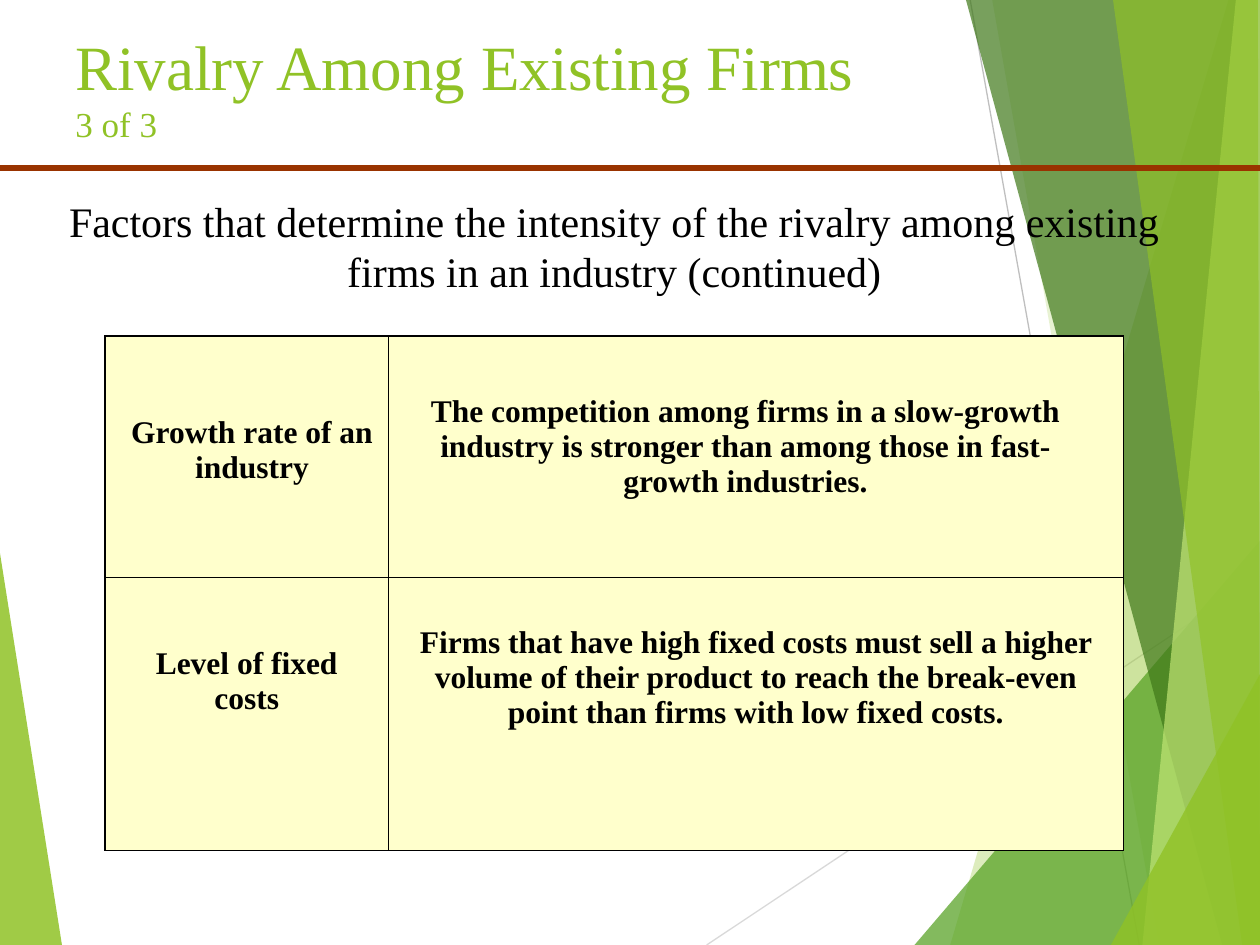
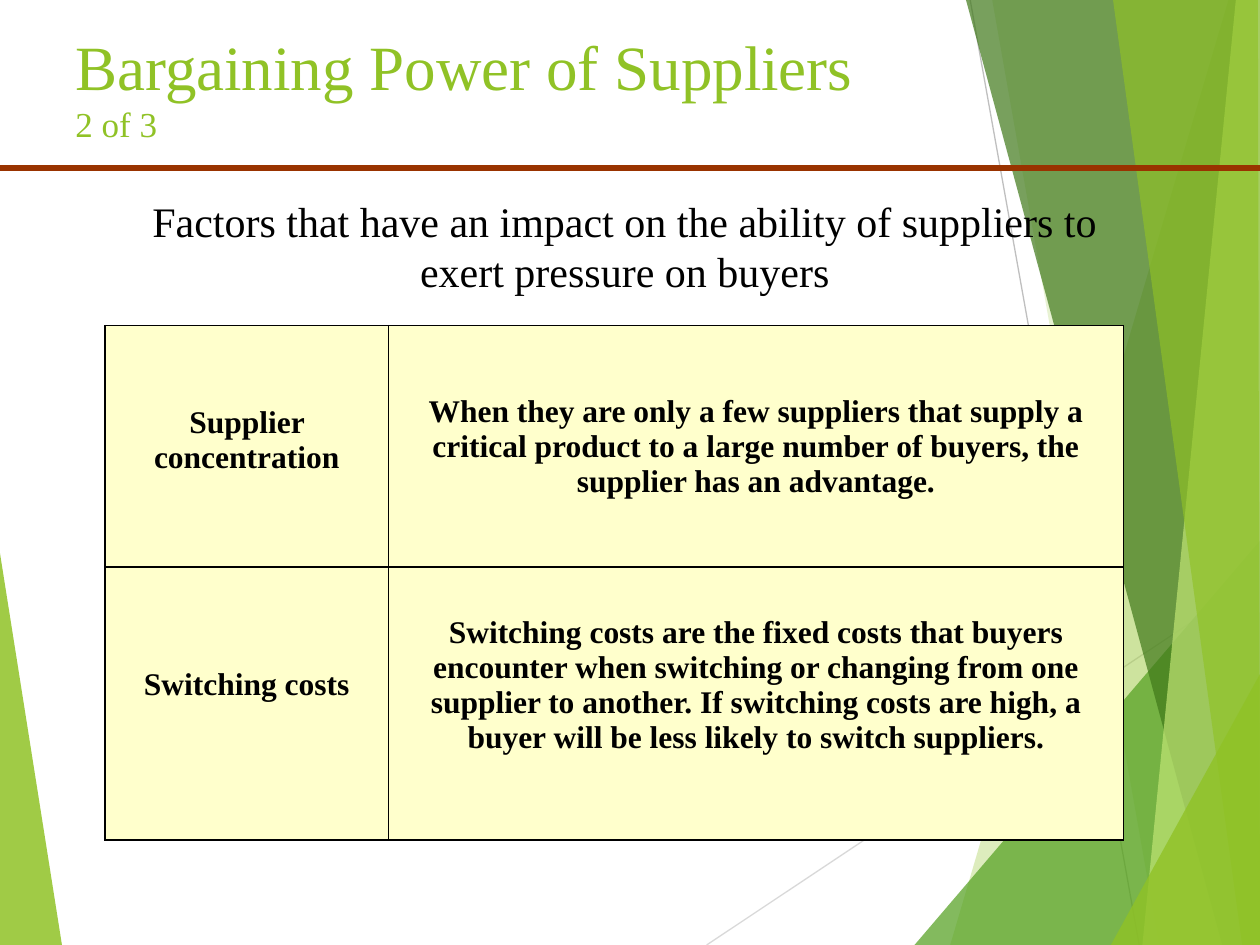
from lxml import etree
from pptx import Presentation
from pptx.dml import color
from pptx.enum import shapes, text
from pptx.oxml import ns
from pptx.util import Emu, Inches, Pt

COLUMNS, ROWS = 120, 90  # grid of twelve cells to the inch
CELL = Inches(1) // 12
INSET = 1.2
FONT = "Times New Roman"
LIME, LEAF, FOREST, PALE = "90C226", "54A021", "3F7819", "C0E474"
BLACK, CREAM, RUST = "000000", "FFFFCC", "993300"
TITLE = {"size": Pt(36), "bold": False}
COUNTER = {"size": Pt(20), "bold": False}
LEAD = {"size": Pt(24), "bold": False}
ENTRY = {"size": Pt(18), "bold": True}

LEFT_WEDGE = ([(0, 52.7), (5.9, ROWS), (0, ROWS)], LIME, 85)
HAIRLINES = [
    ((67.3, ROWS), (COLUMNS, 54.9), "D9D9D9"),
    ((92.4, 0), (108.5, ROWS), "BFBFBF"),
]


def right_band(top, bottom):
    """Outline from a slanted edge to the right side of the slide."""
    return [(top, 0), (bottom, ROWS), (COLUMNS, ROWS), (COLUMNS, 0)]


def right_wedge(left, top):
    return [(left, ROWS), (COLUMNS, top), (COLUMNS, ROWS)]


RIGHT_FACETS = [
    (right_band(117, 90.5), LIME, 30),
    (right_band(94.5, 110.4), LIME, 20),
    (right_wedge(87.1, 51.5), LEAF, 72),
    (right_band(92, 116.4), FOREST, 70),
    (right_band(117.7, 108.8), PALE, 70),
    ([(106, 0), (118.3, ROWS), (COLUMNS, ROWS), (119.8, 0)], LIME, 65),
    (right_wedge(105.8, 64.2), LIME, 80),
]


def grid(cells):
    return Emu(round(cells * CELL))


def rgb(value):
    return color.RGBColor.from_string(value)


def add_facet(slide, points, fill, opacity):
    outline = [(grid(x), grid(y)) for x, y in points]
    builder = slide.shapes.build_freeform(*outline[0])
    builder.add_line_segments(outline[1:])
    shape = builder.convert_to_shape()
    shape.shadow.inherit = False
    shape.fill.solid()
    shape.fill.fore_color.rgb = rgb(fill)
    shape.line.fill.background()
    solid = shape.fill.fore_color._xFill.find(ns.qn("a:srgbClr"))
    etree.SubElement(solid, ns.qn("a:alpha"), val=str(opacity * 1000))


def add_rule(slide, start, end, stroke, width):
    ends = [grid(cells) for cells in (*start, *end)]
    connector = slide.shapes.add_connector(shapes.MSO_CONNECTOR.STRAIGHT, *ends)
    connector.line.color.rgb = rgb(stroke)
    connector.line.width = Pt(width)
    etree.SubElement(connector._element.spPr, ns.qn("a:effectLst"))


def add_run(paragraph, words, style, ink=BLACK):
    run = paragraph.add_run()
    run.text = words
    for name, value in {"name": FONT, **style}.items():
        setattr(run.font, name, value)
    run.font.color.rgb = rgb(ink)


def set_margins(target, left, top, right, bottom):
    margins = {"left": left, "top": top, "right": right, "bottom": bottom}
    for side, cells in margins.items():
        setattr(target, f"margin_{side}", grid(cells))


def add_text_box(slide, box):
    frame = slide.shapes.add_textbox(*map(grid, box)).text_frame
    frame.word_wrap = True
    set_margins(frame, INSET, INSET / 2, INSET, INSET / 2)
    return frame.paragraphs[0]


def add_backdrop(slide):
    add_facet(slide, *LEFT_WEDGE)
    for start, end, stroke in HAIRLINES:
        add_rule(slide, start, end, stroke, 0.75)
    for facet in RIGHT_FACETS:
        add_facet(slide, *facet)


def add_heading(slide, title, counter):
    paragraph = add_text_box(slide, (6, 2, 108, 13))
    add_run(paragraph, title, TITLE, LIME)
    paragraph.add_line_break()
    add_run(paragraph, counter, COUNTER, LIME)
    add_rule(slide, (0, 16), (COLUMNS, 16), RUST, 3)


def add_lead(slide, box, words):
    paragraph = add_text_box(slide, box)
    paragraph.alignment = text.PP_ALIGN.CENTER
    add_run(paragraph, words, LEAD)


def draw_borders(cell):
    properties = cell._tc.get_or_add_tcPr()
    for index, side in enumerate("LRTB"):
        border = etree.Element(ns.qn(f"a:ln{side}"), w=str(Pt(0.75)))
        fill = etree.SubElement(border, ns.qn("a:solidFill"))
        etree.SubElement(fill, ns.qn("a:srgbClr"), val=BLACK)
        properties.insert(index, border)


def add_factor_table(slide, top, factors):
    """Each entry is its words, then its top, left and right insets in cells."""
    widths, heights = (27, 70), (23, 26)
    box = (10, top, sum(widths), sum(heights))
    table = slide.shapes.add_table(2, 2, *map(grid, box)).table
    table.first_row = table.horz_banding = False
    for column, width in zip(table.columns, widths):
        column.width = grid(width)
    for row, height, entries in zip(table.rows, heights, factors):
        row.height = grid(height)
        for cell, (words, above, left, right) in zip(row.cells, entries):
            cell.fill.solid()
            cell.fill.fore_color.rgb = rgb(CREAM)
            draw_borders(cell)
            cell.vertical_anchor = text.MSO_ANCHOR.TOP
            set_margins(cell, left, above, right, 0)
            paragraph = cell.text_frame.paragraphs[0]
            paragraph.alignment = text.PP_ALIGN.CENTER
            add_run(paragraph, words, ENTRY)


def add_factor_slide(presentation, title, counter, lead_box, lead, table_top, factors):
    slide = presentation.slides.add_slide(presentation.slide_layouts[6])
    add_backdrop(slide)
    add_heading(slide, title, counter)
    add_lead(slide, lead_box, lead)
    add_factor_table(slide, table_top, factors)


def main():
    presentation = Presentation()
    presentation.slide_width = grid(COLUMNS)
    presentation.slide_height = grid(ROWS)
    add_factor_slide(
        presentation, "Rivalry Among Existing Firms", "3 of 3", (3, 18, 111, 11),
        "Factors that determine the intensity of the rivalry among existing "
        "firms in an industry (continued)",
        32,
        [
            [("Growth rate of an industry", 7.6, 1.2, 0.2),
             ("The competition among firms in a slow-growth industry is stronger "
              "than among those in fast-growth industries.", 5.6, 3.2, 5.2)],
            [("Level of fixed costs", 6.6, 2.2, 2.2),
             ("Firms that have high fixed costs must sell a higher volume of their "
              "product to reach the break-even point than firms with low fixed "
              "costs.", 4.6, 2.2, 2.2)],
        ],
    )
    add_factor_slide(
        presentation, "Bargaining Power of Suppliers", "2 of 3", (10, 18, 99, 11),
        "Factors that have an impact on the ability of suppliers to exert "
        "pressure on buyers",
        31,
        [
            [("Supplier concentration", 7.6, 2.2, 2.2),
             ("When they are only a few suppliers that supply a critical product to "
              "a large number of buyers, the supplier has an advantage.",
              6.6, 2.2, 2.2)],
            [("Switching costs", 9.6, 2.2, 2.2),
             ("Switching costs are the fixed costs that buyers encounter when "
              "switching or changing from one supplier to another. If switching "
              "costs are high, a buyer will be less likely to switch suppliers.",
              4.6, 2.2, 2.2)],
        ],
    )
    presentation.save("out.pptx")


if __name__ == "__main__":
    main()
